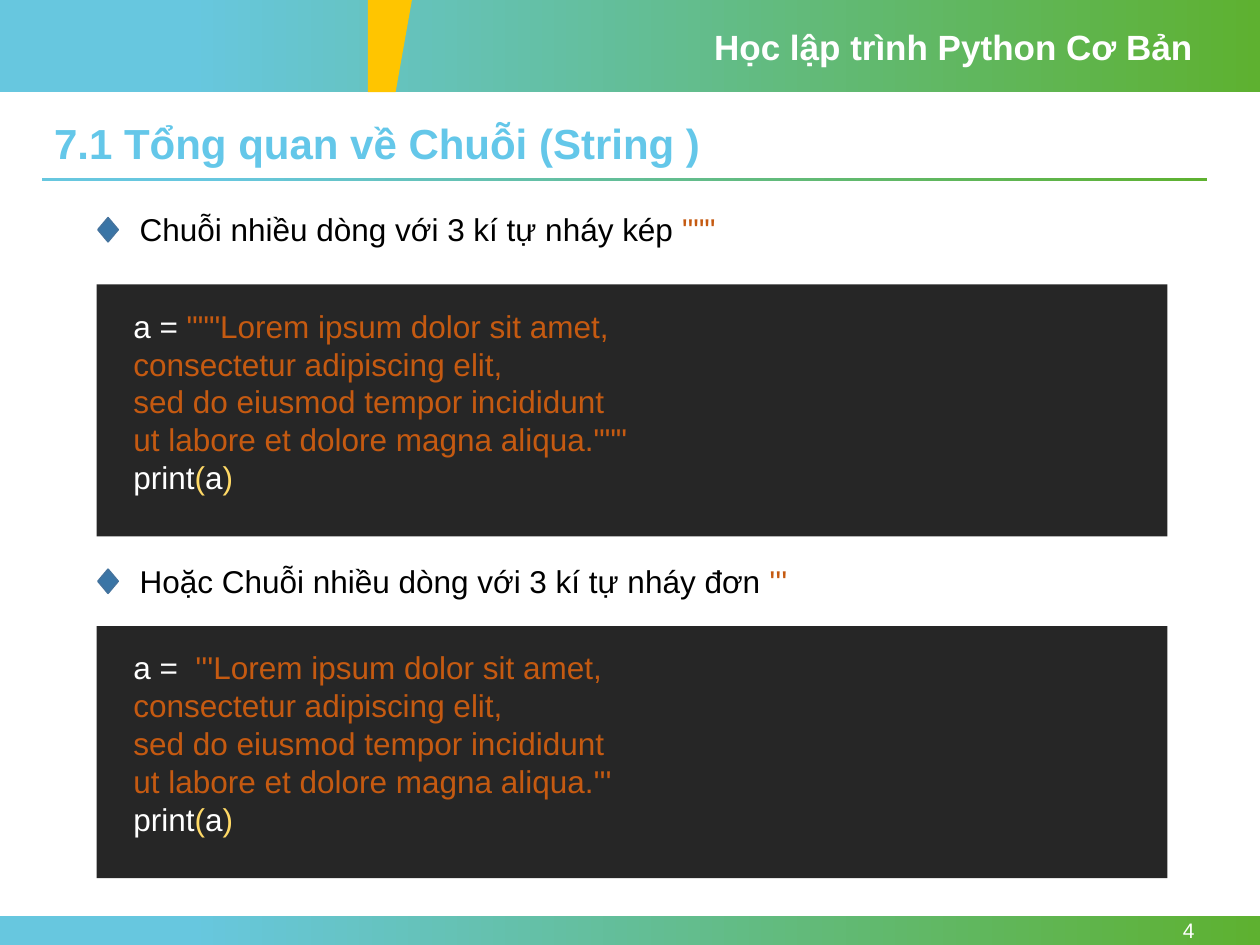
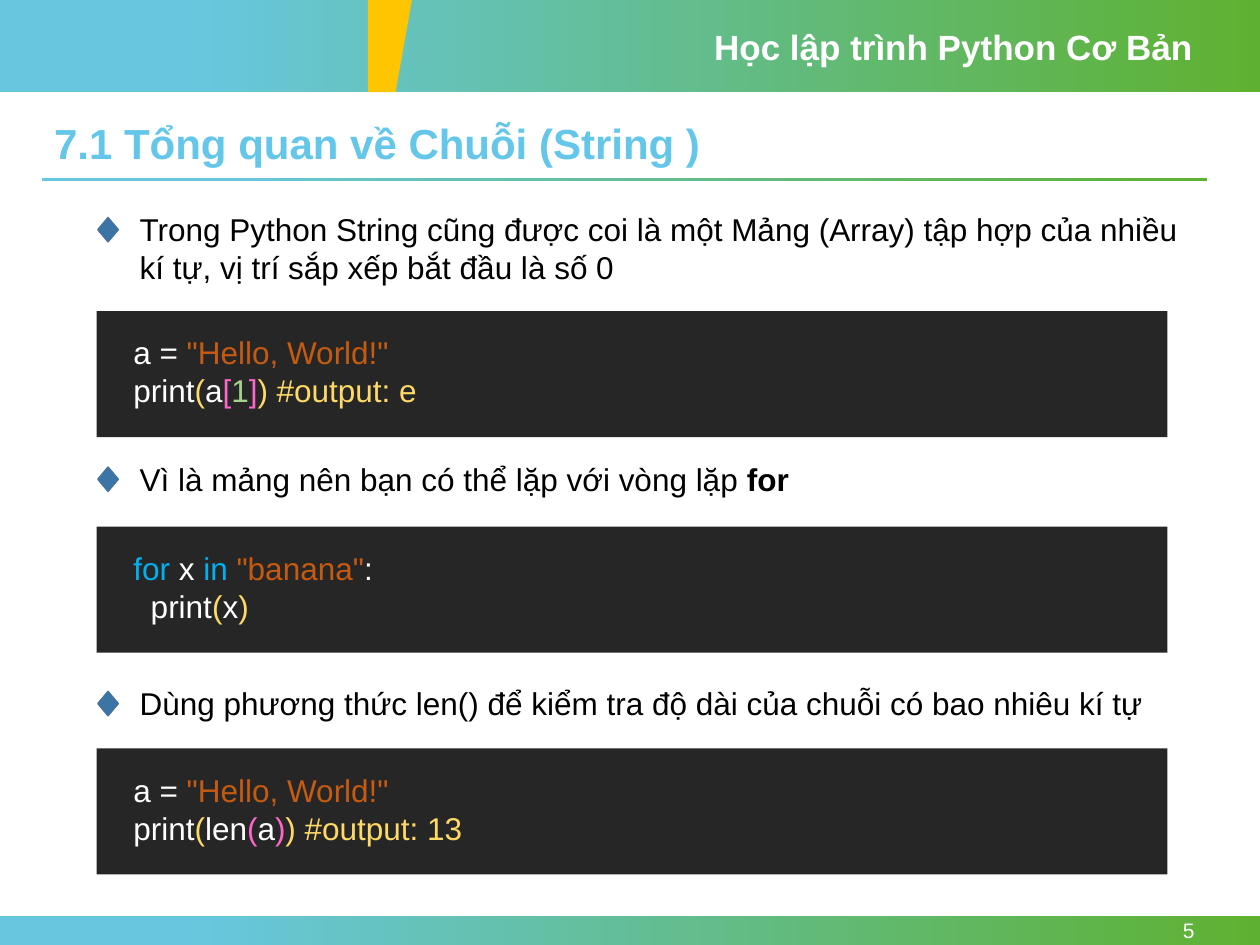
from dataclasses import dataclass

from pptx import Presentation
from pptx.dml.color import RGBColor
from pptx.enum.shapes import MSO_SHAPE
from pptx.enum.text import MSO_ANCHOR, PP_ALIGN
from pptx.util import Pt


@dataclass(frozen=True)
class Theme:
    font: str = "Arial"
    band_start: str = "67C7DF"
    band_end: str = "5EB130"
    accent: str = "FFC500"
    title: str = "64C7E9"
    body: str = "000000"
    bullet: str = "3A75A6"
    bullet_line: str = "43739E"
    panel: str = "262626"
    plain: str = "FFFFFF"
    string: str = "C55A11"
    bracket: str = "FFD966"
    inner: str = "FF66CC"
    number: str = "A9D18E"
    keyword: str = "00B0F0"
    course_size: int = 20
    title_size: int = 24
    text_size: int = 18
    page_size: int = 12


@dataclass(frozen=True)
class Topic:
    """A bulleted statement and the code panel below it; each run is (text, colour[, bold])."""
    top: float
    statement: list
    panel_top: float
    code: list
    statement_lines: int = 1


THEME = Theme()
WIDTH, HEIGHT = 720, 540
BAND_HEIGHT, FOOTER_HEIGHT = 52.6, 16.6
MARGIN, CONTENT_WIDTH = 23.8, 666
COURSE = "Học lập trình Python Cơ Bản"
TITLE = "7.1 Tổng quan về Chuỗi (String )"


def multiline_code(opening, quotes):
    return [
        (opening, THEME.plain),
        (f"{quotes}Lorem ipsum dolor sit amet,\nconsectetur adipiscing elit,\n"
         "sed do eiusmod tempor incididunt\n"
         f"ut labore et dolore magna aliqua.{quotes}\n", THEME.string),
        ("print", THEME.plain), ("(", THEME.bracket),
        ("a", THEME.plain), (")", THEME.bracket),
    ]


HELLO = [("a = ", THEME.plain), ('"Hello, World!"\n', THEME.string),
         ("print", THEME.plain), ("(", THEME.bracket)]

PAGES = {
    4: [
        Topic(116.6, [("Chuỗi nhiều dòng với 3 kí tự nháy kép ", THEME.body),
                      ('"""', THEME.string)],
              162.6, multiline_code("a = ", '"""')),
        Topic(317.5, [("Hoặc Chuỗi nhiều dòng với 3 kí tự nháy đơn ", THEME.body),
                      ("'''", THEME.string)],
              357.8, multiline_code("a =  ", "'''")),
    ],
    5: [
        Topic(116.6, [("Trong Python String cũng được coi là một Mảng (Array) tập hợp "
                       "của nhiều kí tự, vị trí sắp xếp bắt đầu là số 0", THEME.body)],
              177.8, HELLO + [("a", THEME.plain), ("[", THEME.inner), ("1", THEME.number),
                              ("]", THEME.inner), (") #output: e", THEME.bracket)],
              statement_lines=2),
        Topic(259.2, [("Vì là mảng nên bạn có thể lặp với vòng lặp ", THEME.body),
                      ("for", THEME.body, True)],
              301, [("for", THEME.keyword), (" x ", THEME.plain), ("in ", THEME.keyword),
                    ('"banana"', THEME.string), (":\n  print", THEME.plain),
                    ("(", THEME.bracket), ("x", THEME.plain), (")", THEME.bracket)]),
        Topic(387.4, [("Dùng phương thức len() để kiểm tra độ dài của chuỗi "
                       "có bao nhiêu kí tự", THEME.body)],
              427.7, HELLO + [("len", THEME.plain), ("(", THEME.inner), ("a", THEME.plain),
                              (")", THEME.inner), (") #output: 13", THEME.bracket)]),
    ],
}


def set_attributes(target, formats):
    for name, value in formats.items():
        setattr(target, name, value)


def paint(shape, fill, line=None):
    shape.shadow.inherit = False
    shape.fill.solid()
    shape.fill.fore_color.rgb = RGBColor.from_string(fill)
    if line:
        shape.line.color.rgb = RGBColor.from_string(line)
        shape.line.width = Pt(1)
    else:
        shape.line.fill.background()


def add_shape(slide, kind, box, fill, line=None):
    shape = slide.shapes.add_shape(kind, *map(Pt, box))
    paint(shape, fill, line)
    return shape


def add_gradient_bar(slide, box):
    fill = add_shape(slide, MSO_SHAPE.RECTANGLE, box, THEME.band_start).fill
    fill.gradient()
    fill.gradient_angle = 0
    stops = ((0.15, THEME.band_start), (1, THEME.band_end))
    for stop, (position, color) in zip(fill.gradient_stops, stops):
        stop.position = position
        stop.color.rgb = RGBColor.from_string(color)


def add_text(slide, box, runs, size, frame_format=None, paragraph_format=None):
    """Write coloured runs in one paragraph, with a line break at each newline."""
    frame = slide.shapes.add_textbox(*map(Pt, box)).text_frame
    set_attributes(frame, {"word_wrap": True, **(frame_format or {})})
    paragraph = frame.paragraphs[0]
    set_attributes(paragraph, paragraph_format or {})
    for text, color, *bold in runs:
        for index, piece in enumerate(text.split("\n")):
            if index:
                paragraph.add_line_break()
            if piece:
                run = paragraph.add_run()
                run.text = piece
                set_attributes(run.font, {"name": THEME.font, "size": Pt(size),
                                          "bold": bool(bold)})
                run.font.color.rgb = RGBColor.from_string(color)


def text_height(lines):
    return 22 * lines + 7


def add_accent(slide):
    builder = slide.shapes.build_freeform(Pt(210.2), 0)
    corners = ((235.4, 0), (226.1, BAND_HEIGHT), (210.2, BAND_HEIGHT))
    builder.add_line_segments([(Pt(x), Pt(y)) for x, y in corners], close=True)
    paint(builder.convert_to_shape(), THEME.accent)


def add_page_frame(slide, number):
    """Add the bands, course name, section title and page number."""
    footer_top = HEIGHT - FOOTER_HEIGHT
    add_gradient_bar(slide, (0, 0, WIDTH, BAND_HEIGHT))
    add_gradient_bar(slide, (0, footer_top, WIDTH, FOOTER_HEIGHT))
    add_text(slide, (401, 10.8, 288, 31.5), [(COURSE, THEME.plain, True)], THEME.course_size)
    add_gradient_bar(slide, (MARGIN, 101.5, CONTENT_WIDTH, 2))
    add_accent(slide)
    add_text(slide, (623.5, footer_top, 66.2, FOOTER_HEIGHT), [(str(number), THEME.plain)],
             THEME.page_size, {"vertical_anchor": MSO_ANCHOR.MIDDLE},
             {"alignment": PP_ALIGN.RIGHT})
    add_text(slide, (MARGIN, 67, CONTENT_WIDTH, 33), [(TITLE, THEME.title, True)],
             THEME.title_size, None, {"line_spacing": 0.9, "space_before": Pt(10)})


def add_topic(slide, topic):
    add_text(slide, (72.7, topic.top, 617, text_height(topic.statement_lines)),
             topic.statement, THEME.text_size)
    add_shape(slide, MSO_SHAPE.FLOWCHART_DECISION, (56, topic.top + 7.8, 11.5, 13.7),
              THEME.bullet, THEME.bullet_line)
    lines = 1 + sum(run[0].count("\n") for run in topic.code)
    add_shape(slide, MSO_SHAPE.RECTANGLE, (55.2, topic.panel_top, 612, 24 * lines + 24),
              THEME.panel)
    add_text(slide, (69.1, topic.panel_top + 9.2, 583.2, text_height(lines)),
             topic.code, THEME.text_size)


def main():
    presentation = Presentation()
    set_attributes(presentation, {"slide_width": Pt(WIDTH), "slide_height": Pt(HEIGHT)})
    for number, topics in PAGES.items():
        slide = presentation.slides.add_slide(presentation.slide_layouts[6])
        add_page_frame(slide, number)
        for topic in topics:
            add_topic(slide, topic)
    presentation.save("out.pptx")


if __name__ == "__main__":
    main()
